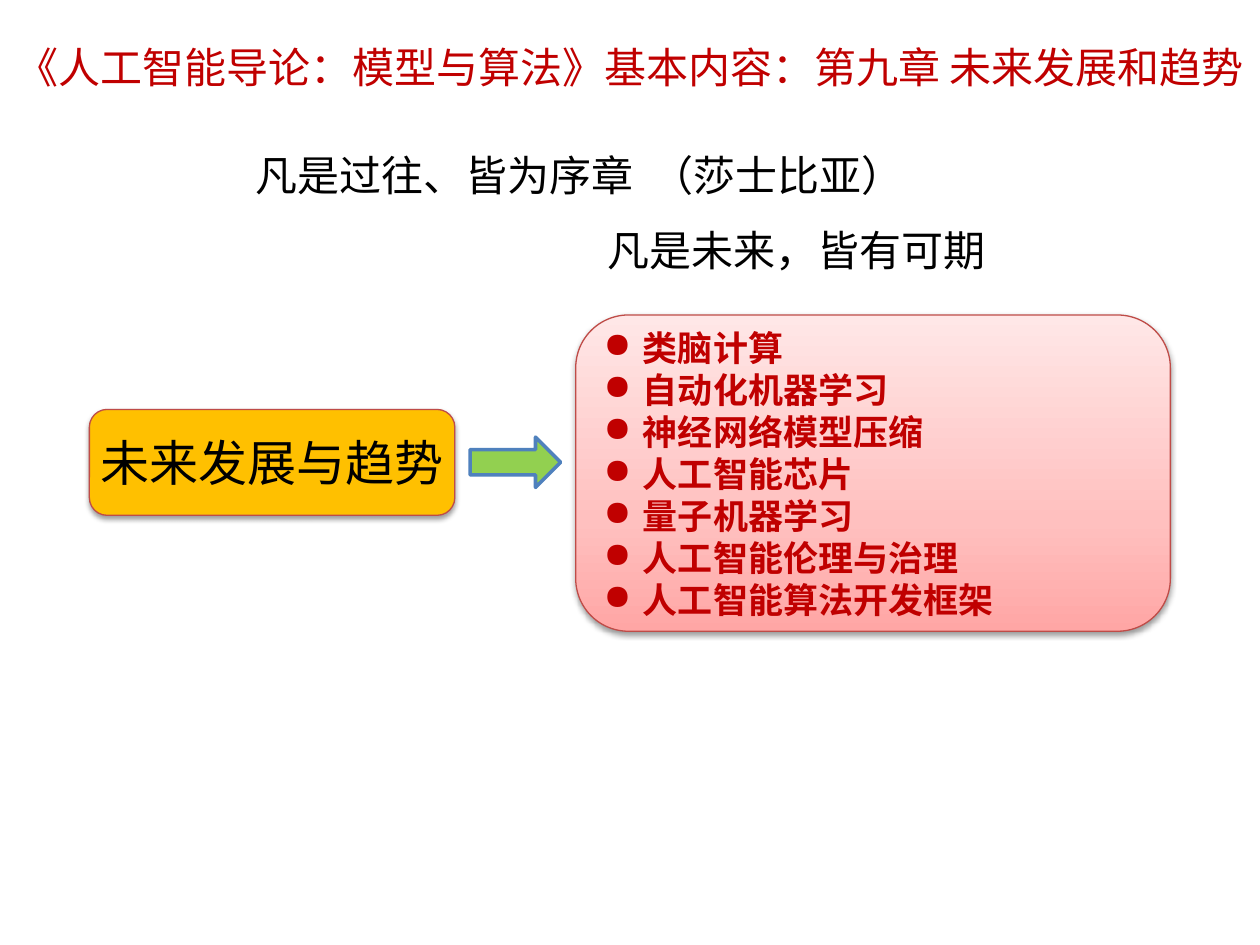
import copy
from dataclasses import dataclass
import lxml.etree
import pptx
import pptx.dml.color
import pptx.enum.shapes
import pptx.enum.text
import pptx.oxml.ns
import pptx.util

Pt = pptx.util.Pt
Kind = pptx.enum.shapes.MSO_SHAPE
Align = pptx.enum.text.PP_ALIGN
Anchor = pptx.enum.text.MSO_ANCHOR
qn = pptx.oxml.ns.qn


@dataclass
class Box:
    """Place of an element, in points."""
    left: float
    top: float
    width: float
    height: float

    def lengths(self) -> list:
        """Return the four lengths."""
        return [Pt(n) for n in (self.left, self.top, self.width, self.height)]


@dataclass
class Panel:
    """A filled outline with its border."""
    box: Box
    kind: int
    fills: list
    line: str
    weight: float
    shadow: bool = True


@dataclass
class Label:
    """A line of text without a frame."""
    box: Box
    text: str
    form: dict


def paint(code: str) -> pptx.dml.color.RGBColor:
    """Turn a hex string into a colour."""
    return pptx.dml.color.RGBColor.from_string(code)


def node(parent, tag: str, **attrs: str):
    """Add a drawing element to its parent."""
    return lxml.etree.SubElement(parent, qn(tag), attrs)


def blend(fill, stops: list) -> None:
    """Fill upwards with a gradient of (position, colour) stops."""
    fill.gradient()
    fill.gradient_angle = 90
    first = fill.gradient_stops[0]._gs
    first.addnext(copy.deepcopy(first))
    for stop, (place, code) in zip(fill.gradient_stops, stops):
        stop.position = place
        stop.color.rgb = paint(code)


def cast(shape) -> None:
    """Give a shape a soft shadow below it."""
    effect = shape._element.spPr.find(qn("a:effectLst"))
    outer = node(effect, "a:outerShdw", blurRad=str(Pt(3.1)), dist=str(Pt(1.6)),
                 dir="5400000", rotWithShape="0")
    black = node(outer, "a:srgbClr", val="000000")
    node(black, "a:alpha", val="38000")


def write(shape, text: str, size: float, color: str = "000000", bold: bool = False,
          align: int = Align.CENTER, anchor: int = Anchor.MIDDLE, wrap: bool = False,
          pads: tuple = (0, 0), space: float = 1, bullet: str = "") -> None:
    """Write text into a shape, one paragraph a line."""
    frame = shape.text_frame
    frame.word_wrap = wrap
    frame.vertical_anchor = anchor
    frame.margin_left = frame.margin_right = Pt(7.2)
    frame.margin_top, frame.margin_bottom = map(Pt, pads)
    frame.text = text
    for para in frame.paragraphs:
        para.alignment = align
        para.line_spacing = space
        if bullet:
            props = para._p.get_or_add_pPr()
            props.set("marL", str(Pt(22.5)))
            props.set("indent", str(Pt(-22.5)))
            node(props, "a:buChar", char=bullet)
        font = para.runs[0].font
        font.name = "Times New Roman"
        font.size = Pt(size)
        font.bold = bold
        font.color.rgb = paint(color)


def draw(slide, panel: Panel):
    """Draw a panel and return its shape."""
    shape = slide.shapes.add_shape(panel.kind, *panel.box.lengths())
    shape.shadow.inherit = False
    if len(panel.fills) == 1:
        shape.fill.solid()
        shape.fill.fore_color.rgb = paint(panel.fills[0])
    else:
        blend(shape.fill, panel.fills)
    shape.line.color.rgb = paint(panel.line)
    shape.line.width = Pt(panel.weight)
    if panel.shadow:
        cast(shape)
    return shape


def place(slide, label: Label) -> None:
    """Place a label on the slide."""
    shape = slide.shapes.add_textbox(*label.box.lengths())
    write(shape, label.text, size=24, **label.form)


ARROW = Panel(Box(268.6, 249.8, 51.8, 28.8), Kind.RIGHT_ARROW, ["92D050"], "4F81BD", 2, False)
THEME = Panel(Box(51.1, 234, 208.8, 60.5), Kind.ROUNDED_RECTANGLE, ["FFC000"], "BF4C48", 0.75)
LIST = Panel(Box(329, 180, 339.8, 180.7), Kind.ROUNDED_RECTANGLE,
             [(0, "FFA6A5"), (0.35, "FFC0BF"), (1, "FFE7E7")], "BF4C48", 0.75)
TOPICS = ["类脑计算", "自动化机器学习", "神经网络模型压缩", "人工智能芯片",
          "量子机器学习", "人工智能伦理与治理", "人工智能算法开发框架"]
QUOTE = dict(anchor=Anchor.TOP, pads=(3.6, 3.6))
LABELS = [
    Label(Box(136.1, 82.1, 390.2, 36), "凡是过往、皆为序章  （莎士比亚）", QUOTE),
    Label(Box(0, 10.1, 720, 51.8), "《人工智能导论：模型与算法》基本内容：第九章 未来发展和趋势",
          dict(color="C00000", wrap=True, pads=(11.5, 3.6), space=0.9)),
    Label(Box(339.1, 124.6, 232.6, 36), "凡是未来，皆有可期", QUOTE),
]


def main() -> None:
    """Build the slide and save it."""
    deck = pptx.Presentation()
    deck.slide_width, deck.slide_height = Pt(720), Pt(540)
    slide = deck.slides.add_slide(deck.slide_layouts[6])
    draw(slide, ARROW)
    write(draw(slide, THEME), "未来发展与趋势", size=28)
    write(draw(slide, LIST), "\n".join(TOPICS), size=20, color="C00000", bold=True,
          align=Align.LEFT, wrap=True, bullet="●")
    for label in LABELS:
        place(slide, label)
    deck.save("out.pptx")


if __name__ == "__main__":
    main()
